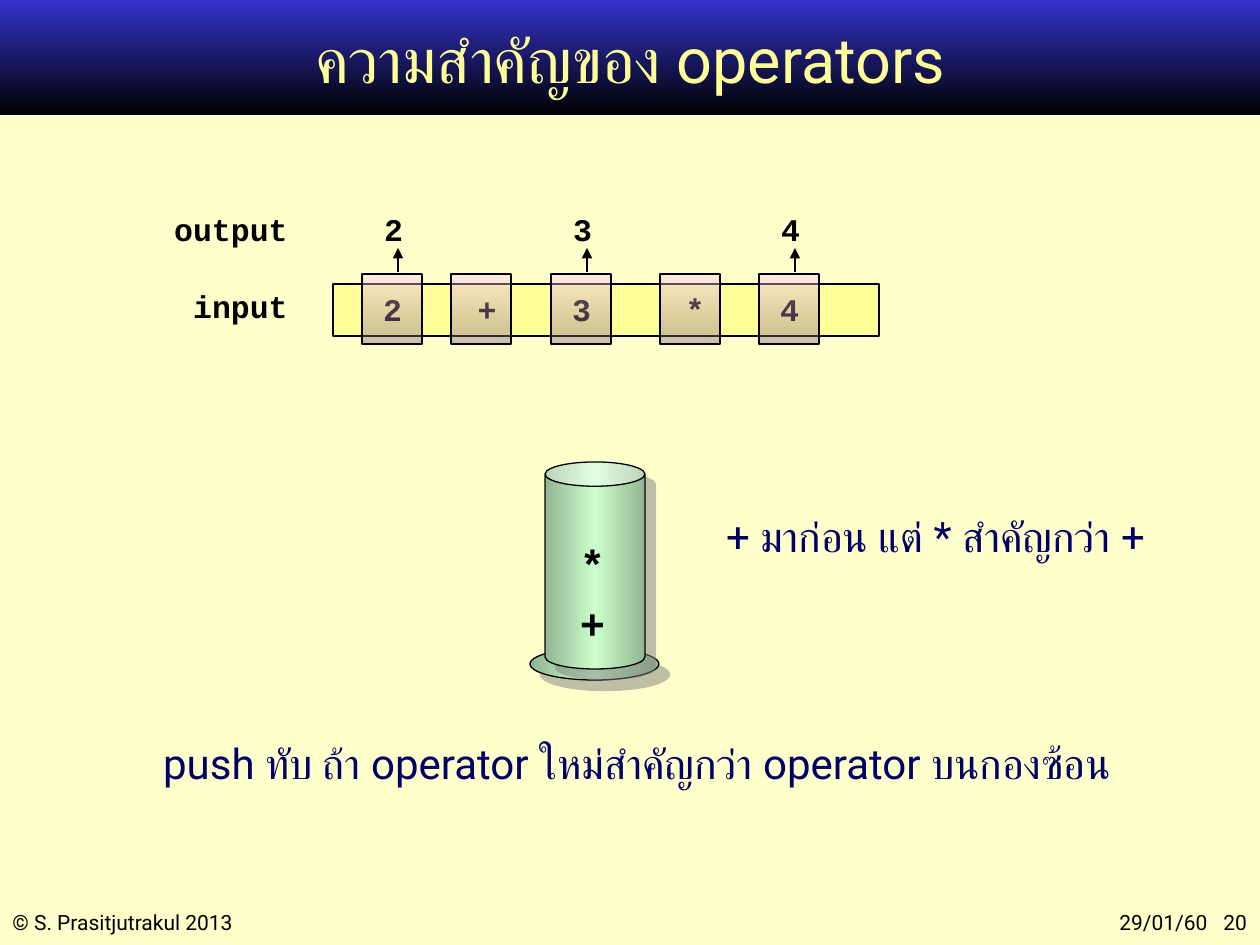
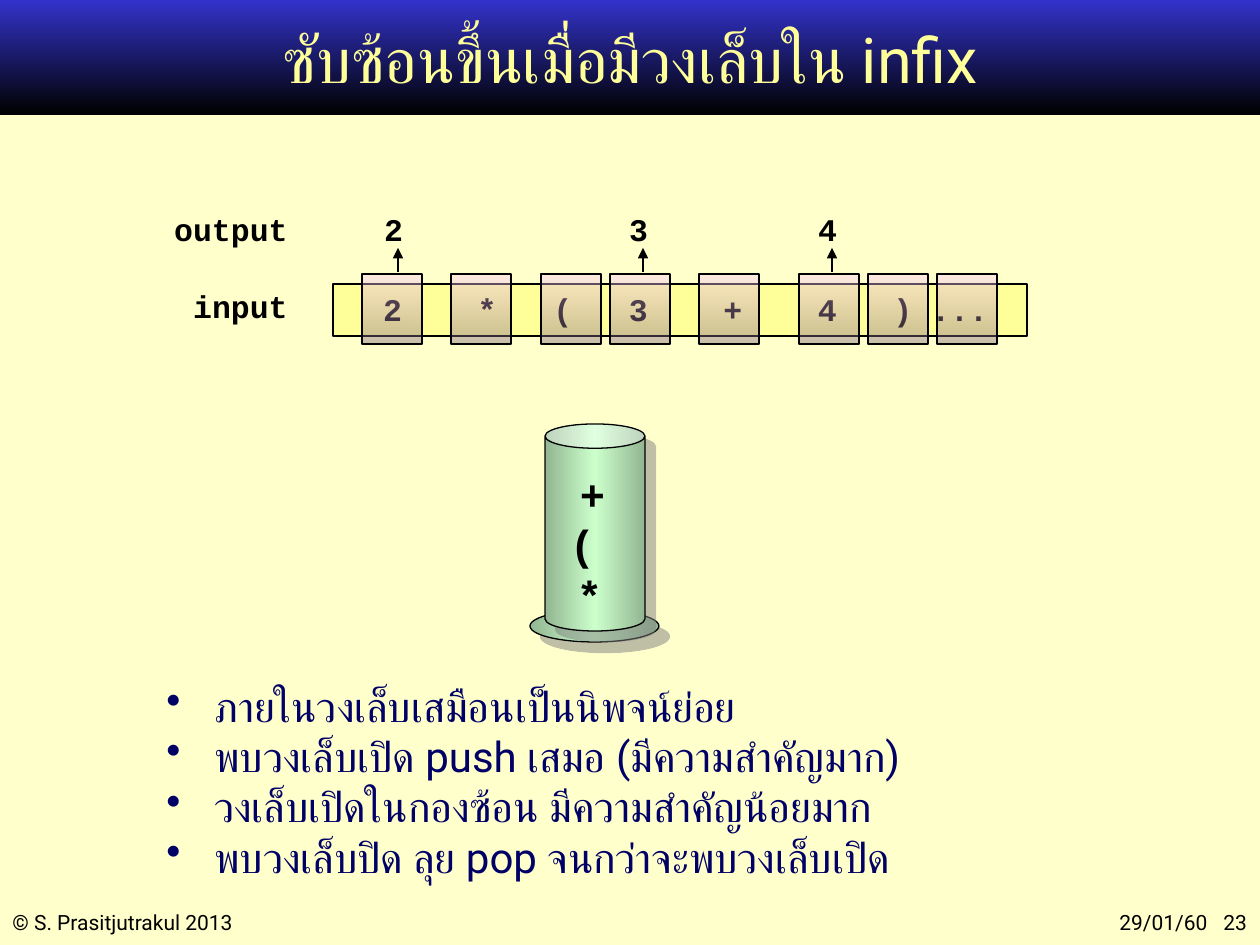
"""Build two slides on operator precedence when converting infix with a stack."""
from pptx import Presentation
from pptx.dml.color import RGBColor
from pptx.enum.shapes import MSO_CONNECTOR, MSO_SHAPE
from pptx.enum.text import MSO_ANCHOR, PP_ALIGN
from pptx.oxml import parse_xml
from pptx.oxml.ns import nsdecls, qn
from pptx.util import Pt
from lxml.etree import SubElement

PX = 914400 / 126
CREAM = RGBColor(0xFF, 0xFF, 0xCC)
YELLOW = RGBColor(0xFF, 0xFF, 0x99)
BLUE = RGBColor(0x33, 0x33, 0xCC)
NAVY = RGBColor(0x00, 0x00, 0x66)
BLACK = RGBColor(0x00, 0x00, 0x00)
GREEN = RGBColor(0xCC, 0xFF, 0xCC)
DARK_GREEN = RGBColor(0x92, 0xB6, 0x92)
PINK = RGBColor(0xFF, 0xCC, 0xFF)
PLUM = RGBColor(0x76, 0x5E, 0x76)
GREY = RGBColor(0x80, 0x80, 0x80)
SANS = "Roboto"
MONO = "Courier New"
COLUMN = Pt(10.8)

SLIDES = [
    {
        "title": "ความสำคัญของ operators",
        "number": 20,
        "bar_width": 546,
        "tokens": [("2", 2, 362), ("+", 7, 451), ("3", 12, 551), ("*", 18, 660), ("4", 23, 759)],
        "outputs": [("2", 372), ("3", 561), ("4", 769)],
        "stack_top": 462,
        "stack": [("+", 571, 591), ("*", 571, 532)],
        "notes": [
            ((640, 504, 591, 63), ["+ มาก่อน แต่ * สำคัญกว่า +"]),
            ((39, 731, 1196, 63), ["push ทับ ถ้า operator ใหม่สำคัญกว่า operator บนกองซ้อน"]),
        ],
    },
    {
        "title": "ซับซ้อนขึ้นเมื่อมีวงเล็บใน infix",
        "number": 23,
        "bar_width": 694,
        "tokens": [("2", 2, 362), ("*", 7, 451), ("(", 11, 541), ("3", 15, 610),
                   ("+", 20, 699), ("4", 25, 799), (")", 29, 868), ("...", 31, 937)],
        "outputs": [("2", 372), ("3", 617), ("4", 806)],
        "stack_top": 424,
        "stack": [("*", 568, 563), ("(", 561, 512), ("+", 571, 462)],
        "notes": [
            ((154, 674, 983, 215), [
                "ภายในวงเล็บเสมือนเป็นนิพจน์ย่อย",
                "พบวงเล็บเปิด push เสมอ (มีความสำคัญมาก)",
                "วงเล็บเปิดในกองซ้อน มีความสำคัญน้อยมาก",
                "พบวงเล็บปิด ลุย pop จนกว่าจะพบวงเล็บเปิด",
            ]),
        ],
    },
]


def add_text(slide, bounds, lines, size, font=SANS, color=BLACK, align=PP_ALIGN.LEFT, tabs=()):
    box = slide.shapes.add_textbox(*[round(n * PX) for n in bounds])
    frame = box.text_frame
    frame.word_wrap = True
    if align == PP_ALIGN.CENTER:
        frame.margin_left = frame.margin_right = 0
    frame.text = "\n".join(lines)
    for para in frame.paragraphs:
        para.alignment = align
        if tabs:
            stops = SubElement(para._p.get_or_add_pPr(), qn("a:tabLst"))
            for position in tabs:
                SubElement(stops, qn("a:tab"), pos=str(round(position)), algn="l")
        for span in para.runs:
            span.font.size = Pt(size)
            span.font.name = font
            span.font.bold = font == MONO
            span.font.color.rgb = color
            SubElement(span._r.get_or_add_rPr(), qn("a:cs"), typeface=font)
    return box


def add_block(slide, kind, bounds, colors, angle=0, alpha=100, outlined=True):
    block = slide.shapes.add_shape(kind, *[round(n * PX) for n in bounds])
    block.shadow.inherit = False
    stops = "".join(
        f'<a:gs pos="{100000 * i // (len(colors) - 1)}"><a:srgbClr val="{color}">'
        f'<a:alpha val="{alpha * 1000}"/></a:srgbClr></a:gs>'
        for i, color in enumerate(colors))
    block._element.spPr.find(qn("a:prstGeom")).addnext(parse_xml(
        f'<a:gradFill {nsdecls("a")} rotWithShape="1"><a:gsLst>{stops}</a:gsLst>'
        f'<a:lin ang="{angle * 60000}" scaled="1"/></a:gradFill>'))
    if outlined:
        block.line.color.rgb = BLACK
        block.line.width = Pt(0.75)
    else:
        block.line.fill.background()
    return block


deck = Presentation()
deck.slide_width = round(1260 * PX)
deck.slide_height = round(945 * PX)
master_fill = deck.slide_master.background.fill
master_fill.solid()
master_fill.fore_color.rgb = CREAM

for page in SLIDES:
    slide = deck.slides.add_slide(deck.slide_layouts[6])

    add_block(slide, MSO_SHAPE.RECTANGLE, (0, 0, 1260, 115), [BLUE, BLACK], 90, outlined=False)
    add_text(slide, (0, 903, 410, 38), ["© S. Prasitjutrakul 2013"], 12)
    add_text(slide, (987, 903, 273, 38), [f"\t29/01/60\t{page['number']}"], 12,
             tabs=[120 * PX, 224 * PX])
    title = add_text(slide, (95, 6, 1071, 105), [page["title"]], 36, color=YELLOW,
                     align=PP_ALIGN.CENTER)
    title.text_frame.vertical_anchor = MSO_ANCHOR.MIDDLE

    top = page["stack_top"]
    base = add_block(slide, MSO_SHAPE.OVAL, (530, top + 186, 129, 32),
                     [DARK_GREEN, GREEN, DARK_GREEN])
    can = add_block(slide, MSO_SHAPE.CAN, (545, top, 100, 207), [DARK_GREEN, GREEN, DARK_GREEN])
    can.adjustments[0] = 0.243
    for part in (base, can):
        part._element.spPr.find(qn("a:effectLst")).append(parse_xml(
            f'<a:outerShdw {nsdecls("a")} dist="{Pt(8.5)}" dir="2700000" algn="ctr" '
            f'rotWithShape="0"><a:srgbClr val="{GREY}"><a:alpha val="50000"/></a:srgbClr>'
            '</a:outerShdw>'))
    for symbol, left, symbol_top in page["stack"]:
        add_text(slide, (left, symbol_top, 43, 63), [symbol], 24, MONO, align=PP_ALIGN.CENTER)

    input_line = "".join(f"\t{token}" for token, column, left in page["tokens"])
    bar = add_text(slide, (333, 284, page["bar_width"], 52), [input_line], 18, MONO,
                   tabs=[column * COLUMN for token, column, left in page["tokens"]])
    bar.fill.solid()
    bar.fill.fore_color.rgb = YELLOW
    bar.line.color.rgb = BLACK
    bar.line.width = Pt(0.75)
    for token, column, left in page["tokens"]:
        add_block(slide, MSO_SHAPE.RECTANGLE, (left, 274, 60, 70), [PINK, PLUM], 90, alpha=40)

    add_text(slide, (164, 281, 136, 50), ["input"], 18, MONO, align=PP_ALIGN.RIGHT)
    add_text(slide, (134, 204, 166, 50), ["output"], 18, MONO, align=PP_ALIGN.RIGHT)
    for digit, left in page["outputs"]:
        add_text(slide, (left, 204, 43, 50), [digit], 18, MONO, align=PP_ALIGN.CENTER)
        arrow = slide.shapes.add_connector(
            MSO_CONNECTOR.STRAIGHT, *[round(n * PX) for n in (left + 26, 272, left + 26, 248)])
        arrow.line.color.rgb = BLACK
        arrow.line.width = Pt(0.75)
        SubElement(arrow.line._get_or_add_ln(), qn("a:tailEnd"), type="triangle")
        SubElement(arrow._element.spPr, qn("a:effectLst"))

    for bounds, lines in page["notes"]:
        bulleted = len(lines) > 1
        note = add_text(slide, bounds, lines, 24, color=NAVY,
                        align=PP_ALIGN.LEFT if bulleted else PP_ALIGN.CENTER)
        if bulleted:
            for para in note.text_frame.paragraphs:
                properties = para._p.get_or_add_pPr()
                properties.set("marL", str(round(48 * PX)))
                properties.set("indent", str(round(-48 * PX)))
                SubElement(properties, qn("a:buChar"), char="•")

deck.save("out.pptx")
